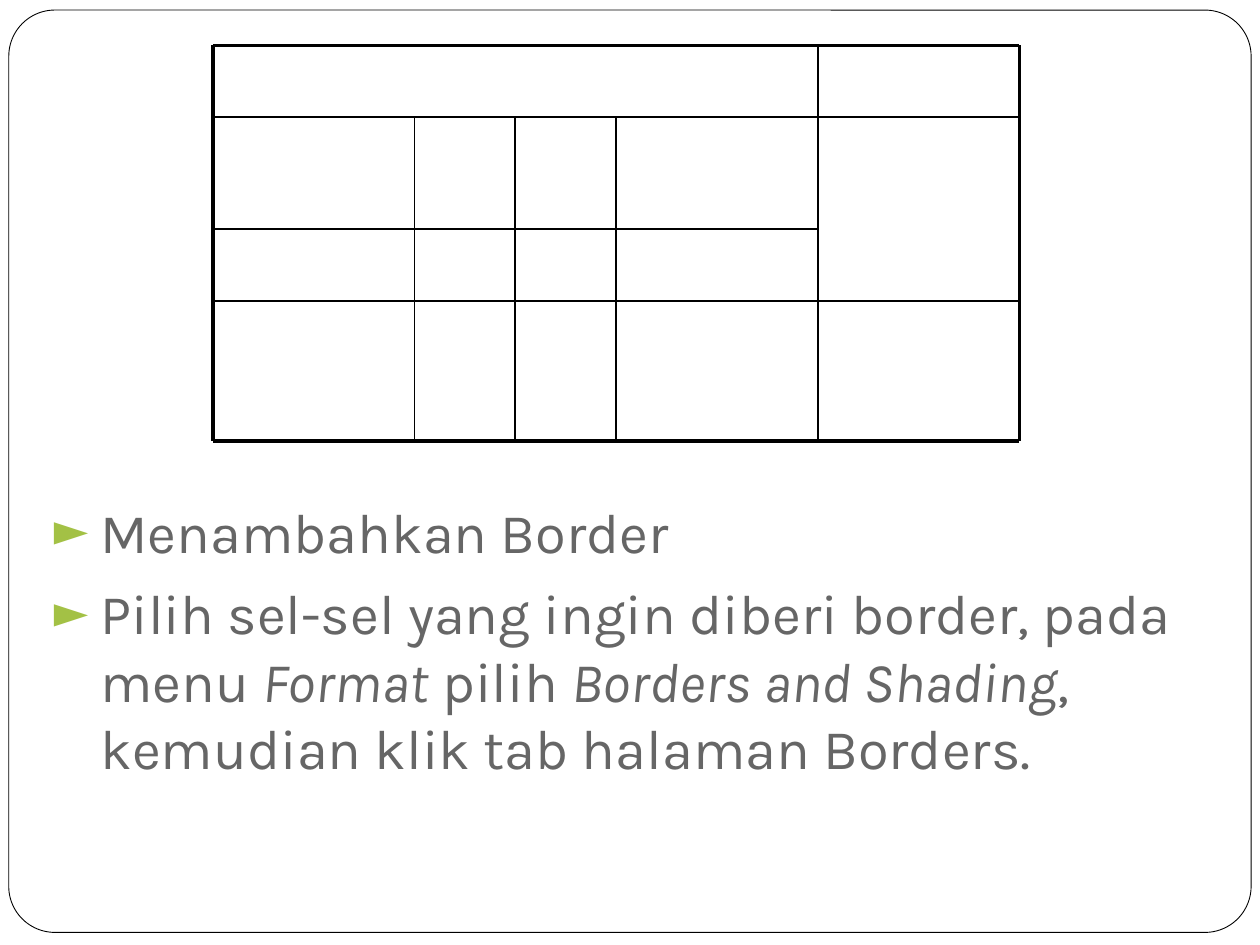
"""Build the slide on adding borders to table cells."""
from dataclasses import dataclass

from lxml import etree
from pptx import Presentation
from pptx import util as u
from pptx.dml.color import RGBColor
from pptx.enum import shapes, text
from pptx.oxml.ns import qn


@dataclass(frozen=True)
class Theme:
    font: str = "Karla"
    body_size: float = 32
    space_before: float = 8
    bullet_percent: int = 80
    outer_border: float = 2
    inner_border: float = 1
    frame_border: float = 0.5
    paper: str = "FFFFFF"
    ink: str = "000000"
    body: str = "666666"
    accent: str = "A3C145"


@dataclass(frozen=True)
class Border:
    x1: float
    y1: float
    x2: float
    y2: float
    weight: float


@dataclass(frozen=True)
class Phrase:
    wording: str
    italic: bool = False


THEME = Theme()
LEFT, RIGHT, TOP, BOTTOM = 1.69, 8.09, 0.36, 3.5
HEADER_Y, MIDDLE_Y, LOWER_Y = 0.93, 1.82, 2.39
LAST_COLUMN_X = 6.49
INNER_COLUMNS = (3.29, 4.09, 4.89)
HANGING_INDENT = 0.37

BORDERS = [
    *(Border(LEFT, y, RIGHT, y, THEME.outer_border) for y in (TOP, BOTTOM)),
    *(Border(x, TOP, x, BOTTOM, THEME.outer_border) for x in (LEFT, RIGHT)),
    *(Border(LEFT, y, RIGHT, y, THEME.inner_border) for y in (HEADER_Y, LOWER_Y)),
    Border(LEFT, MIDDLE_Y, LAST_COLUMN_X, MIDDLE_Y, THEME.inner_border),
    Border(LAST_COLUMN_X, TOP, LAST_COLUMN_X, BOTTOM, THEME.inner_border),
    *(Border(x, HEADER_Y, x, BOTTOM, THEME.inner_border) for x in INNER_COLUMNS),
]

STEPS = [
    [Phrase("Menambahkan Border")],
    [
        Phrase("Pilih sel-sel yang ingin diberi border, pada menu "),
        Phrase("Format", italic=True),
        Phrase(" pilih "),
        Phrase("Borders and Shading", italic=True),
        Phrase(", kemudian klik tab halaman Borders."),
    ],
]


def draw_frame(slide) -> None:
    """Draw the rounded frame around the slide."""
    frame = slide.shapes.add_shape(
        shapes.MSO_SHAPE.ROUNDED_RECTANGLE,
        u.Inches(0.07), u.Inches(0.08), u.Inches(9.86), u.Inches(7.32),
    )
    frame.adjustments[0] = 0.05
    frame.shadow.inherit = False
    frame.fill.solid()
    frame.fill.fore_color.rgb = RGBColor.from_string(THEME.paper)
    frame.line.color.rgb = RGBColor.from_string(THEME.ink)
    frame.line.width = u.Pt(THEME.frame_border)


def draw_border(grid, border: Border) -> None:
    """Draw one border of the cell grid."""
    edge = grid.shapes.add_connector(
        shapes.MSO_CONNECTOR.STRAIGHT,
        u.Inches(border.x1), u.Inches(border.y1),
        u.Inches(border.x2), u.Inches(border.y2),
    )
    edge.line.color.rgb = RGBColor.from_string(THEME.ink)
    edge.line.width = u.Pt(border.weight)
    etree.SubElement(edge._element.spPr, qn("a:effectLst"))


def add_bullet(step) -> None:
    """Give a paragraph a hanging arrow bullet."""
    properties = step._p.get_or_add_pPr()
    properties.set("marL", str(u.Inches(HANGING_INDENT)))
    properties.set("indent", str(-u.Inches(HANGING_INDENT)))
    colour = etree.SubElement(properties, qn("a:buClr"))
    etree.SubElement(colour, qn("a:srgbClr"), val=THEME.accent)
    etree.SubElement(properties, qn("a:buSzPct"), val=str(THEME.bullet_percent * 1000))
    etree.SubElement(properties, qn("a:buFont"), typeface=THEME.font)
    etree.SubElement(properties, qn("a:buChar"), char="►")


def write_step(step, phrases: list[Phrase]) -> None:
    """Write one bulleted instruction."""
    step.space_before = u.Pt(THEME.space_before)
    add_bullet(step)
    for phrase in phrases:
        run = step.add_run()
        run.text = phrase.wording
        run.font.name = THEME.font
        run.font.size = u.Pt(THEME.body_size)
        run.font.italic = phrase.italic
        run.font.color.rgb = RGBColor.from_string(THEME.body)


def write_instructions(slide) -> None:
    """Place the bulleted instructions below the grid."""
    instructions = slide.shapes.add_textbox(
        u.Inches(0.33), u.Inches(3.9), u.Inches(9.34), u.Inches(2.88)
    ).text_frame
    instructions.word_wrap = True
    instructions.auto_size = text.MSO_AUTO_SIZE.SHAPE_TO_FIT_TEXT
    for index, phrases in enumerate(STEPS):
        step = instructions.add_paragraph() if index else instructions.paragraphs[0]
        write_step(step, phrases)


def main() -> None:
    """Build and save the slide."""
    deck = Presentation()
    deck.slide_width, deck.slide_height = u.Inches(10), u.Inches(7.5)
    slide = deck.slides.add_slide(deck.slide_layouts[6])
    draw_frame(slide)
    write_instructions(slide)
    grid = slide.shapes.add_group_shape()
    for border in BORDERS:
        draw_border(grid, border)
    deck.save("out.pptx")


if __name__ == "__main__":
    main()
